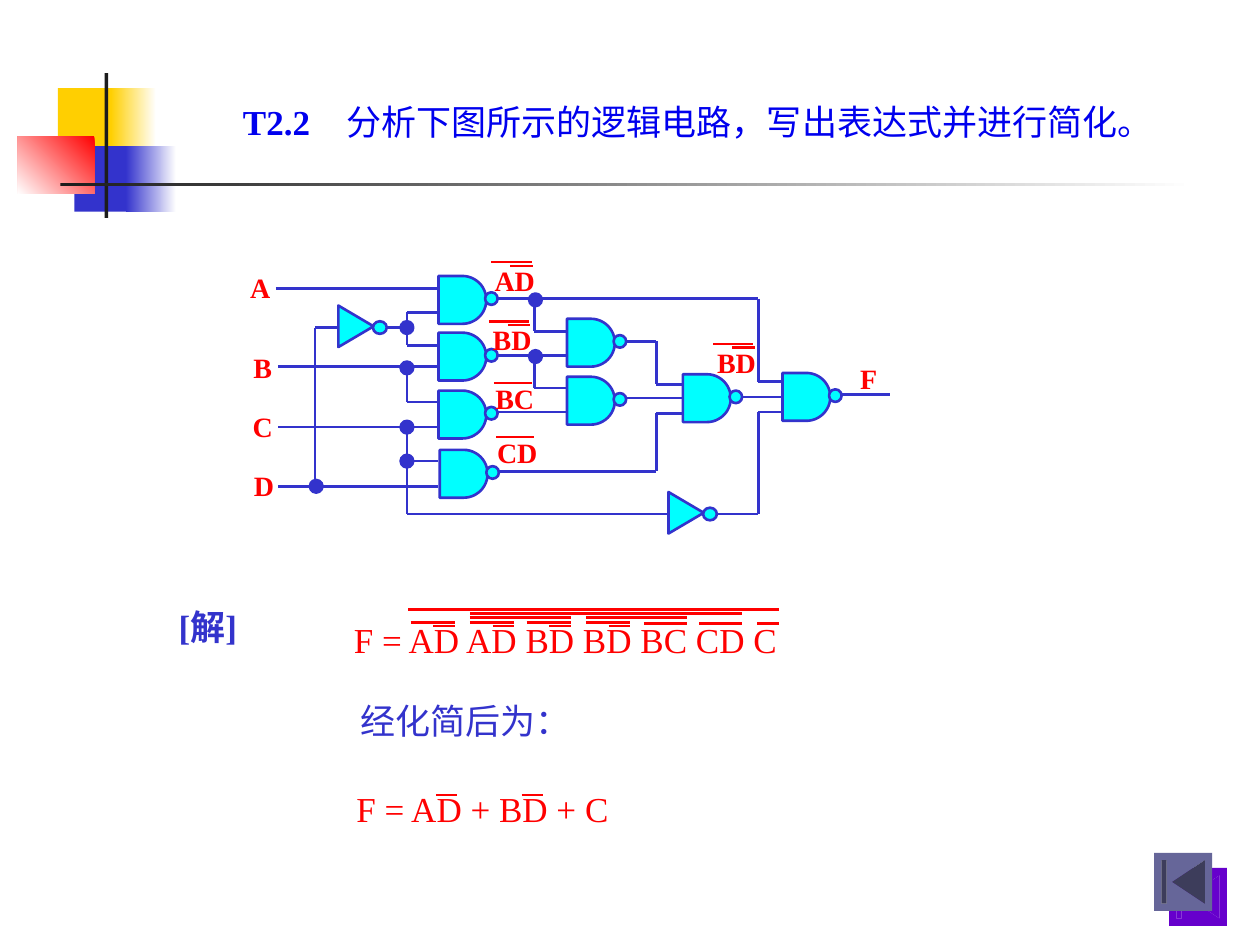
from collections import namedtuple
from itertools import pairwise

from lxml import etree
from pptx import Presentation
from pptx.dml.color import RGBColor
from pptx.enum.shapes import MSO_CONNECTOR, MSO_SHAPE
from pptx.enum.text import MSO_ANCHOR, PP_ALIGN
from pptx.oxml.ns import qn
from pptx.util import Inches, Pt

Box = namedtuple("Box", "left top width height")

STRAIGHT = MSO_CONNECTOR.STRAIGHT
RECTANGLE = MSO_SHAPE.RECTANGLE
ELLIPSE = MSO_SHAPE.OVAL
TRIANGLE = MSO_SHAPE.ISOSCELES_TRIANGLE
GATE = MSO_SHAPE.FLOWCHART_DELAY
BUTTON = MSO_SHAPE.ACTION_BUTTON_BEGINNING
LEFT, CENTER = PP_ALIGN.LEFT, PP_ALIGN.CENTER
TOP = MSO_ANCHOR.TOP

WHITE = RGBColor(0xFF, 0xFF, 0xFF)
YELLOW = RGBColor(0xFF, 0xCF, 0x01)
BLUE = RGBColor(0x33, 0x33, 0xCC)
TITLE_BLUE = RGBColor(0x00, 0x00, 0xEE)
RED = RGBColor(0xFF, 0x00, 0x00)
CYAN = RGBColor(0x00, 0xFF, 0xFF)
BLACK = RGBColor(0x1C, 0x1C, 0x1C)
SLATE = RGBColor(0x66, 0x66, 0x99)
PURPLE = RGBColor(0x66, 0x00, 0xCC)
FONT = "Times New Roman"
GATE_SIZE = 0.38
DOT_SIZE = 0.1


def add_part(page, kind, box, x, y, width, height, color, outline=None):
    part = page.shapes.add_shape(kind, Inches(box.left + x), Inches(box.top + y),
                                 Inches(width), Inches(height))
    part.shadow.inherit = False
    part.fill.solid()
    part.fill.fore_color.rgb = color
    if outline is None:
        part.line.fill.background()
    else:
        part.line.color.rgb = outline
        part.line.width = Pt(1.5)
    return part


def add_fade(page, box, x, y, width, height, color, angle=0):
    part = add_part(page, RECTANGLE, box, x, y, width, height, color)
    part.fill.gradient()
    part.fill.gradient_angle = angle
    for stop, stop_color in zip(part.fill.gradient_stops, (color, WHITE)):
        stop.color.rgb = stop_color


def add_line(page, box, start, end, color):
    line = page.shapes.add_connector(
        STRAIGHT, Inches(box.left + start[0]), Inches(box.top + start[1]),
        Inches(box.left + end[0]), Inches(box.top + end[1]))
    line.line.color.rgb = color
    line.line.width = Pt(1.5)
    etree.SubElement(line._element.spPr, qn("a:effectLst"))
    return line


def add_bars(page, box, bars):
    for y, left, right in bars:
        add_line(page, box, (left, y), (right, y), RED)


def add_text(page, box, text, color, size=20, bold=False, align=LEFT, margins=(0.1, 0.05)):
    holder = page.shapes.add_textbox(*(Inches(length) for length in box))
    frame = holder.text_frame
    frame.word_wrap = True
    frame.vertical_anchor = TOP
    frame.margin_left = frame.margin_right = Inches(margins[0])
    frame.margin_top = frame.margin_bottom = Inches(margins[1])
    para = frame.paragraphs[0]
    para.text = text
    para.alignment = align
    para.font.name = FONT
    para.font.size = Pt(size)
    para.font.bold = bold
    para.font.color.rgb = color
    return para


def draw_ornament(page, box):
    add_part(page, RECTANGLE, box, 0.32, 0.12, 0.48, 0.52, YELLOW)
    add_fade(page, box, 0.74, 0.12, 0.36, 0.52, YELLOW)
    add_part(page, RECTANGLE, box, 0.45, 0.58, 0.46, 0.52, BLUE)
    add_fade(page, box, 0.86, 0.58, 0.4, 0.52, BLUE)
    add_fade(page, box, 0, 0.5, 0.61, 0.46, RED, angle=225)
    add_part(page, RECTANGLE, box, 0.69, 0, 0.03, box.height, BLACK)
    add_fade(page, box, 0.34, 0.87, 9, 0.03, BLACK)


def draw_title(page, box):
    para = add_text(page, box, "", TITLE_BLUE)
    properties = para._p.get_or_add_pPr()
    tabs = etree.Element(qn("a:tabLst"))
    etree.SubElement(tabs, qn("a:tab"), pos=str(Inches(0.82)), algn="l")
    properties.insert(0, tabs)
    number = para.add_run()
    number.text = "T2.2\t"
    number.font.bold = True
    para.add_run().text = "分析下图所示的逻辑电路，写出表达式并进行简化。"


def draw_gate(page, box, x, y):
    gate = add_part(page, GATE, box, x, y, GATE_SIZE, GATE_SIZE, CYAN, BLUE)
    add_part(page, ELLIPSE, box, x + 0.37, y + 0.13, DOT_SIZE, DOT_SIZE, CYAN, BLUE)
    return gate


def draw_inverter(page, box, x, y):
    add_part(page, TRIANGLE, box, x, y, 0.33, 0.28, CYAN, BLUE).rotation = 90
    add_part(page, ELLIPSE, box, x + 0.3, y + 0.1, 0.11, DOT_SIZE, CYAN, BLUE)


def draw_label(page, box, text, x, y, bars=()):
    label = Box(box.left + x, box.top + y, 0.43, 0.29)
    add_text(page, label, text, RED, size=16, bold=True, align=CENTER, margins=(0.02, 0.01))
    add_bars(page, label, bars)


def draw_circuit(page, box):
    for x, y in ((1.68, 0.19), (1.68, 0.64), (1.68, 1.1), (1.69, 1.57),
                 (2.7, 0.53), (2.7, 0.99)):
        draw_gate(page, box, x, y)
    for x, y, wire_start in ((3.62, 0.97, 3.17), (4.41, 0.96, 4.09)):
        gate = draw_gate(page, box, x, y)
        middle = y + GATE_SIZE / 2
        add_line(page, box, (wire_start, middle), (x, middle), BLUE).end_connect(gate, 1)

    wires = (
        ((0.39, 0.29), (1.68, 0.29)),
        ((0.41, 0.91), (1.68, 0.91)),
        ((0.41, 1.39), (1.68, 1.39)),
        ((0.41, 1.86), (1.68, 1.86)),
        ((0.7, 1.86), (0.7, 0.6), (1.44, 0.6)),
        ((1.68, 0.48), (1.43, 0.48), (1.43, 0.74), (1.68, 0.74)),
        ((1.43, 0.91), (1.43, 1.19), (1.68, 1.19)),
        ((1.43, 1.39), (1.43, 2.08), (4.22, 2.08), (4.22, 1.27), (4.41, 1.27)),
        ((1.43, 1.66), (1.68, 1.66)),
        ((2.15, 0.37), (4.22, 0.37), (4.22, 1.03), (4.41, 1.03)),
        ((2.44, 0.37), (2.44, 0.63), (2.7, 0.63)),
        ((2.15, 0.82), (2.7, 0.82)),
        ((2.44, 0.82), (2.44, 1.08), (2.7, 1.08)),
        ((2.15, 1.27), (2.7, 1.27)),
        ((2.15, 1.74), (3.41, 1.74), (3.41, 1.28), (3.62, 1.28)),
        ((3.17, 0.71), (3.41, 0.71), (3.41, 1.05), (3.62, 1.05)),
        ((4.88, 1.13), (5.26, 1.13)),
    )
    for wire in wires:
        for start, end in pairwise(wire):
            add_line(page, box, start, end, BLUE)

    for x, y in ((0.86, 0.45), (3.48, 1.93)):
        draw_inverter(page, box, x, y)
    for x, y in ((0.66, 1.81), (1.38, 0.55), (1.38, 0.87), (1.38, 1.34), (1.38, 1.61),
                 (2.4, 0.33), (2.4, 0.78)):
        add_part(page, ELLIPSE, box, x, y, DOT_SIZE, DOT_SIZE, BLUE, BLUE)

    double_bar = ((0, 0.03, 0.35), (0.03, 0.18, 0.36))
    single_bar = ((0.02, 0.05, 0.35),)
    for label in (("A", 0.05, 0.14), ("B", 0.07, 0.77), ("C", 0.07, 1.24),
                  ("D", 0.08, 1.71), ("F", 4.88, 0.86),
                  ("AD", 2.07, 0.08, double_bar), ("BD", 2.05, 0.55, double_bar),
                  ("BC", 2.07, 1.02, single_bar), ("CD", 2.09, 1.45, single_bar),
                  ("BD", 3.83, 0.73, double_bar)):
        draw_label(page, box, *label)


def draw_formula(page, box, text, bars):
    add_text(page, box, text, RED)
    add_bars(page, box, bars)


def draw_solution(page, box):
    left, top = box.left, box.top
    add_text(page, Box(left, top, 0.75, 0.77), "[解]", BLUE, bold=True)
    term_bars = [bar for x in (0.55, 1.02, 1.47, 1.94)
                 for bar in ((0.08, x, x + 0.35), (0.11, x + 0.18, x + 0.35))]
    group_bars = [(0.09, 2.4, 2.74), (0.09, 2.84, 3.18), (0.09, 3.3, 3.47),
                  (0.04, 1.02, 1.82), (0.04, 1.94, 2.74),
                  (0.01, 1.02, 3.18), (-0.02, 0.53, 3.47)]
    draw_formula(page, Box(left + 1.39, top + 0.1, 4.02, 0.44),
                 "F = AD AD BD BD BC CD C", term_bars + group_bars)
    add_text(page, Box(left + 1.44, top + 0.74, 2, 0.44), "经化简后为：", BLUE)
    draw_formula(page, Box(left + 1.41, top + 1.44, 2.55, 0.44),
                 "F = AD + BD + C", ((0.11, 0.73, 0.9), (0.11, 1.41, 1.58)))


def draw_button(page, box):
    button = add_part(page, BUTTON, box, 0, 0, box.width, box.height, SLATE)
    effects = button._element.spPr.find(qn("a:effectLst"))
    shadow = etree.SubElement(effects, qn("a:outerShdw"), dist=str(Pt(12.1)),
                              dir=str(45 * 60000), algn="ctr", rotWithShape="0")
    etree.SubElement(shadow, qn("a:srgbClr"), val=str(PURPLE))


def main():
    deck = Presentation()
    deck.slide_width, deck.slide_height = Inches(10), Inches(7.5)
    page = deck.slides.add_slide(deck.slide_layouts[6])
    draw_ornament(page, Box(0.14, 0.58, 9.34, 1.15))
    draw_title(page, Box(1.83, 0.75, 7.75, 0.44))
    draw_button(page, Box(9.16, 6.77, 0.46, 0.46))
    draw_circuit(page, Box(1.8, 2, 5.31, 2.25))
    draw_solution(page, Box(1.32, 4.76, 5.41, 1.88))
    deck.save("out.pptx")


if __name__ == "__main__":
    main()
